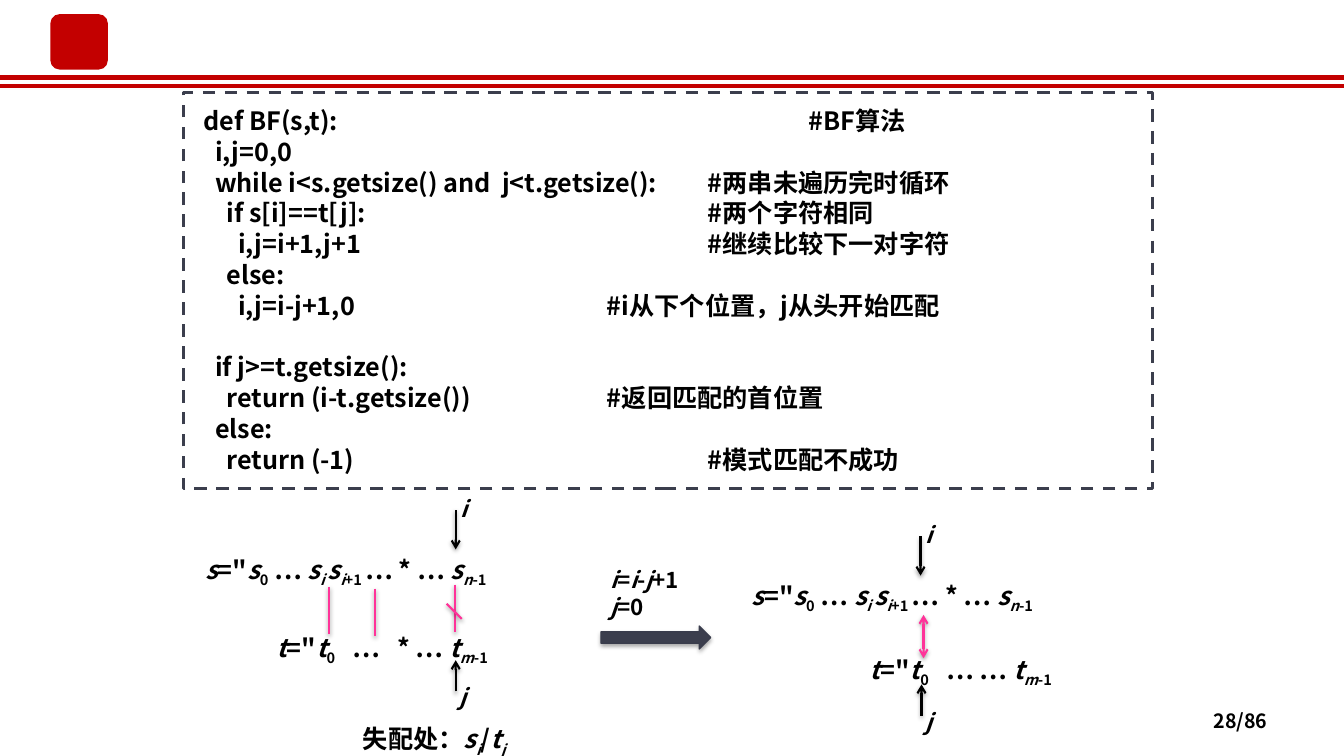
"""Build the slide on brute-force string matching."""
from lxml import etree
from pptx import Presentation
from pptx.dml.color import RGBColor
from pptx.enum.dml import MSO_LINE
from pptx.enum.shapes import MSO_CONNECTOR, MSO_SHAPE
from pptx.enum.text import MSO_ANCHOR, PP_ALIGN
from pptx.oxml.ns import qn
from pptx.util import Inches, Pt

RECT = MSO_SHAPE.RECTANGLE
ROUND = MSO_SHAPE.ROUNDED_RECTANGLE
ARROW = MSO_SHAPE.RIGHT_ARROW
LINE = MSO_CONNECTOR.STRAIGHT
DASH = MSO_LINE.DASH
TOP, MIDDLE = MSO_ANCHOR.TOP, MSO_ANCHOR.MIDDLE
LEFT, RIGHT = PP_ALIGN.LEFT, PP_ALIGN.RIGHT
FONT = "Noto Sans CJK SC"
COLORS = {"red": "C30000", "slate": "3B3E4D", "edge": "393C4C",
          "pink": "FF3399", "black": "000000", "white": "FFFFFF"}

CODE = [
    ("def BF(s,t):", "#BF算法", 6),
    ("  i,j=0,0", "", 0),
    ("  while i<s.getsize() and  j<t.getsize():", "#两串未遍历完时循环", 5),
    ("    if s[i]==t[j]:", "#两个字符相同", 5),
    ("      i,j=i+1,j+1", "#继续比较下一对字符", 5),
    ("    else:", "", 0),
    ("      i,j=i-j+1,0", "#i从下个位置，j从头开始匹配", 4),
    ("  if j>=t.getsize():", "", 0),
    ("    return (i-t.getsize())", "#返回匹配的首位置", 4),
    ("  else:", "", 0),
    ("    return (-1)", "#模式匹配不成功", 5),
]
GAP_ROW = 7
SOURCE = '~s~="~s~_0_ … ~s_i _s_i~+1 _… * … ~s_n~-1'


def color(name):
    """Return the named colour."""
    return RGBColor.from_string(COLORS[name])


def write(para, text, size=18, bold=True, align=LEFT):
    """Fill a paragraph; ~ toggles italic and _ toggles subscript."""
    para.alignment = align
    sub = False
    for turn, part in enumerate(text.split("~")):
        for step, bit in enumerate(part.split("_")):
            sub ^= step > 0
            if not bit:
                continue
            run = para.add_run()
            run.text = bit
            font = run.font
            font.size, font.bold, font.italic = Pt(size), bold, turn % 2 == 1
            font.color.rgb = color("black")
            font.name = FONT
            props = run._r.get_or_add_rPr()
            etree.SubElement(props, qn("a:ea"), typeface=FONT)
            if sub:
                props.set("baseline", "-25000")


def label(slide, text, x, y, w, h, anchor=TOP, **form):
    """Add a text box with one paragraph per line."""
    frame = slide.shapes.add_textbox(
        Inches(x), Inches(y), Inches(w), Inches(h)).text_frame
    frame.word_wrap = True
    frame.vertical_anchor = anchor
    for row, line in enumerate(text.split("\n")):
        para = frame.add_paragraph() if row else frame.paragraphs[0]
        write(para, line, **form)


def block(slide, kind, x, y, w, h, fill, edge=None, width=1):
    """Add a filled preset shape without a shadow."""
    shape = slide.shapes.add_shape(
        kind, Inches(x), Inches(y), Inches(w), Inches(h))
    shape.shadow.inherit = False
    shape.fill.solid()
    shape.fill.fore_color.rgb = color(fill)
    if edge:
        shape.line.color.rgb = color(edge)
        shape.line.width = Pt(width)
    else:
        shape.line.fill.background()
    return shape


def shade(effects, alpha):
    """Put a soft downward shadow in an effect list."""
    outer = etree.SubElement(
        effects, qn("a:outerShdw"), blurRad=str(Pt(3.1)), dist=str(Pt(1.6)),
        dir="5400000", rotWithShape="0")
    tint = etree.SubElement(outer, qn("a:srgbClr"), val=COLORS["black"])
    etree.SubElement(tint, qn("a:alpha"), val=str(alpha * 1000))


def stroke(slide, x1, y1, x2, y2, hue, width=1.5, ends=(), soft=True):
    """Add a straight line, with arrowheads at the given ends."""
    link = slide.shapes.add_connector(
        LINE, Inches(x1), Inches(y1), Inches(x2), Inches(y2))
    link.line.color.rgb = color(hue)
    link.line.width = Pt(width)
    pen = link.line._get_or_add_ln()
    for end in ends:
        etree.SubElement(pen, qn(f"a:{end}"), type="arrow")
    effects = etree.SubElement(link._element.spPr, qn("a:effectLst"))
    if soft:
        shade(effects, 38)


def listing(slide):
    """Add the dashed box with the code and its comments."""
    box = block(slide, RECT, 1.82, 0.92, 9.61, 3.93, "white", "slate", 2.25)
    box.line.dash_style = DASH
    frame = box.text_frame
    frame.word_wrap = True
    frame.vertical_anchor = TOP
    frame.margin_left, frame.margin_right = Inches(0.2), Inches(0.1)
    frame.margin_top = frame.margin_bottom = Inches(0.12)
    for row, (code, note, stop) in enumerate(CODE):
        para = frame.add_paragraph() if row else frame.paragraphs[0]
        if note:
            tabs = etree.SubElement(para._p.get_or_add_pPr(), qn("a:tabLst"))
            etree.SubElement(tabs, qn("a:tab"), pos=str(Inches(stop)), algn="l")
            code += "\t" + note
        para.line_spacing = Pt(22)
        if row == GAP_ROW:
            para.space_before = Pt(22)
        write(para, code)


def index(slide, name, x, y, tip, tail, end):
    """Add an index letter with its black arrow."""
    label(slide, f"~{name}", x, y, 0.39, 0.37, size=16)
    stroke(slide, tip, tail, tip, end, "black", ends=["tailEnd"])


def before(slide):
    """Draw the strings at the mismatch."""
    label(slide, SOURCE, 1.94, 5.45, 4.14, 0.4)
    label(slide, '~t~="~t~_0_   …   * … ~t_m~-1', 2.64, 6.22, 3.2, 0.4)
    index(slide, "i", 4.47, 4.86, 4.52, 5.06, 5.45)
    index(slide, "j", 4.46, 6.73, 4.52, 6.86, 6.55)
    for x, y in [(3.26, 5.82), (3.72, 5.84), (4.51, 5.8)]:
        stroke(slide, x, y, x, y + 0.47, "pink")
    stroke(slide, 4.43, 5.99, 4.58, 6.14, "pink")
    label(slide, "失配处：~s_i~_/~t_j", 3.5, 7.13, 2.19, 0.4)


def after(slide):
    """Draw the step and the strings once the indexes are reset."""
    label(slide, "~i~=~i~-~j~+1\n~j~=0", 5.96, 5.57, 1.17, 0.64, size=16)
    step = block(slide, ARROW, 5.96, 6.21, 1.09, 0.23, "slate", "edge", 0.75)
    shade(step._element.spPr.find(qn("a:effectLst")), 35)
    label(slide, SOURCE, 7.36, 5.71, 4.14, 0.4)
    label(slide, '~t~="~t~_0_   … … ~t_m~-1', 8.53, 6.44, 2.66, 0.4)
    index(slide, "i", 9.08, 5.12, 9.13, 5.32, 5.71)
    index(slide, "j", 9.08, 6.98, 9.14, 7.1, 6.79)
    stroke(slide, 9.16, 6.1, 9.16, 6.53, "pink", ends=["headEnd", "tailEnd"])


def main():
    """Build and save the deck."""
    deck = Presentation()
    deck.slide_width, deck.slide_height = Inches(13.33), Inches(7.5)
    slide = deck.slides.add_slide(deck.slide_layouts[6])
    for y in (0.77, 0.85):
        stroke(slide, 0, y, 13.33, y, "red", width=3, soft=False)
    block(slide, ROUND, 0.5, 0.14, 0.57, 0.55, "red")
    listing(slide)
    before(slide)
    after(slide)
    label(slide, "28/86", 9.56, 6.95, 3.11, 0.4, anchor=MIDDLE,
          size=14, align=RIGHT)
    deck.save("out.pptx")


if __name__ == "__main__":
    main()
